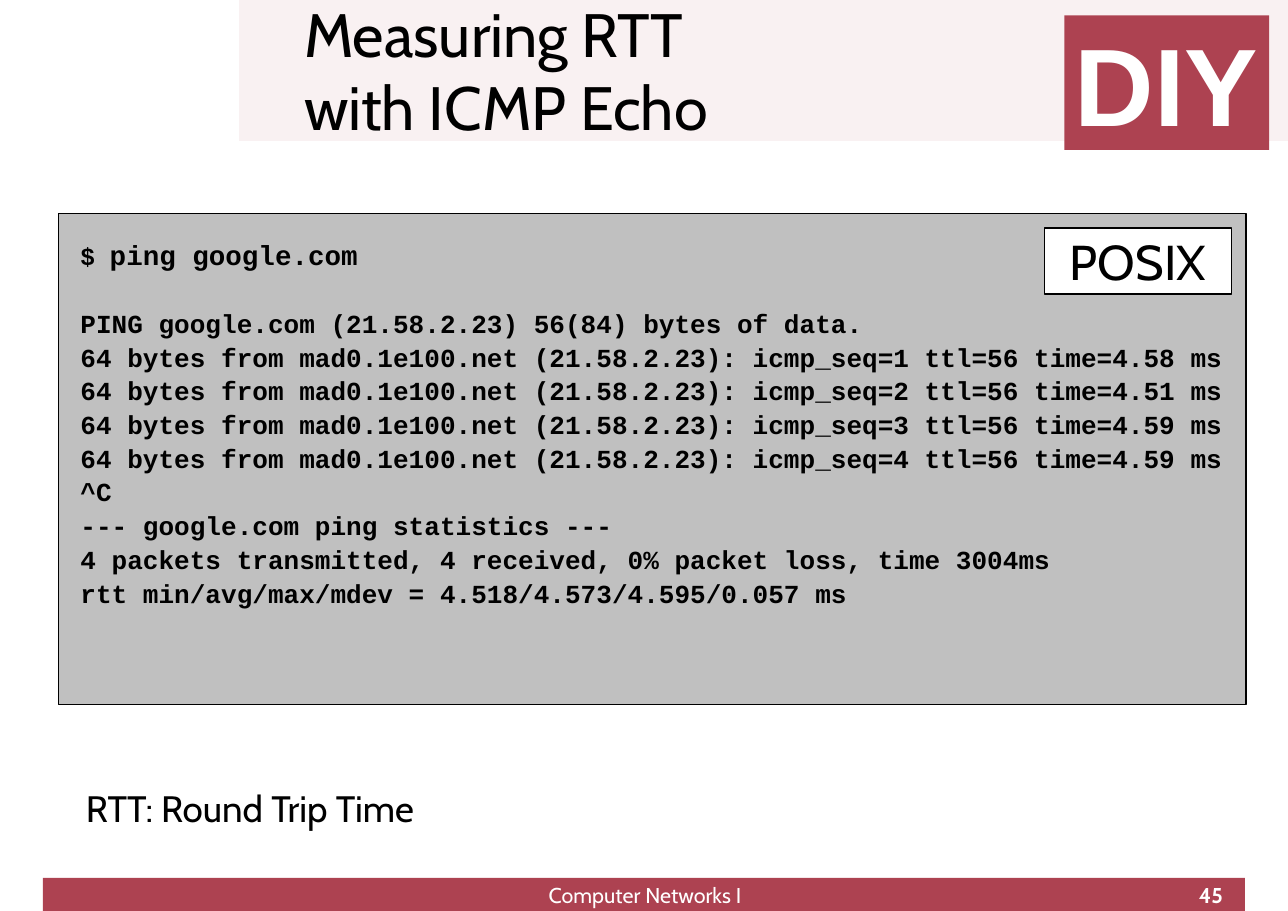
from dataclasses import dataclass

import pptx
import pptx.dml.color
import pptx.enum.shapes
import pptx.enum.text
import pptx.util

EMU_PER_PX = 9144
COLOURS = {
    "black": "000000",
    "white": "FFFFFF",
    "band": "F9F1F2",
    "red": "AD4251",
    "grey": "C0C0C0",
}
LEFT = pptx.enum.text.PP_ALIGN.LEFT
CENTER = pptx.enum.text.PP_ALIGN.CENTER
RIGHT = pptx.enum.text.PP_ALIGN.RIGHT
TOP = pptx.enum.text.MSO_ANCHOR.TOP
MIDDLE = pptx.enum.text.MSO_ANCHOR.MIDDLE

PROMPT = "$ "
COMMAND = "ping google.com"
REPLY_TIMES = ["4.58", "4.51", "4.59", "4.59"]
OUTPUT_LINES = [
    "PING google.com (21.58.2.23) 56(84) bytes of data.",
    *(
        f"64 bytes from mad0.1e100.net (21.58.2.23): icmp_seq={number} ttl=56 time={time} ms"
        for number, time in enumerate(REPLY_TIMES, start=1)
    ),
    "^C",
    "--- google.com ping statistics ---",
    "4 packets transmitted, 4 received, 0% packet loss, time 3004ms",
    "rtt min/avg/max/mdev = 4.518/4.573/4.595/0.057 ms",
]


@dataclass(frozen=True)
class Box:
    left: int
    top: int
    width: int
    height: int
    fill: str | None = None
    outlined: bool = False


@dataclass(frozen=True)
class Label:
    box: Box
    text: str
    size: int
    colour: str = "black"
    font: str = "Cabin"
    bold: bool = False
    alignment: pptx.enum.text.PP_ALIGN = LEFT
    anchor: pptx.enum.text.MSO_ANCHOR = TOP


TITLE_BAND = Box(217, 0, 953, 128, "band")
FOOTER_BAR = Box(39, 797, 1091, 30, "red")
TITLE = Label(Box(276, -6, 835, 138), "Measuring RTT\vwith ICMP Echo", 40, anchor=MIDDLE)
TERMINAL = Box(53, 194, 1078, 446, "grey", True)
LABELS = [
    Label(Box(966, 14, 186, 122, "red"), "DIY", 72, "white", "Arial", True, CENTER, MIDDLE),
    Label(Box(78, 713, 435, 48), "RTT: Round Trip Time", 24),
    Label(Box(948, 207, 170, 60, "white", True), "POSIX", 32, alignment=CENTER, anchor=MIDDLE),
    Label(Box(400, 801, 371, 23), "Computer Networks I", 14, "white", alignment=CENTER),
    Label(Box(838, 801, 272, 23), "45", 14, "white", bold=True, alignment=RIGHT),
]


def px(value: int) -> pptx.util.Emu:
    return pptx.util.Emu(value * EMU_PER_PX)


def colour_of(name: str) -> pptx.dml.color.RGBColor:
    return pptx.dml.color.RGBColor.from_string(COLOURS[name])


def style_font(
    font: pptx.text.text.Font, name: str, size: int, colour: str, bold: bool
) -> None:
    font.name = name
    font.size = pptx.util.Pt(size)
    font.bold = bold
    font.color.rgb = colour_of(colour)


def prepare_frame(
    frame: pptx.text.text.TextFrame,
    margin: int,
    anchor: pptx.enum.text.MSO_ANCHOR,
    wrap: bool,
) -> None:
    frame.margin_left = frame.margin_right = px(margin)
    frame.margin_top = frame.margin_bottom = px(margin)
    frame.vertical_anchor = anchor
    frame.auto_size = pptx.enum.text.MSO_AUTO_SIZE.NONE
    frame.word_wrap = wrap


def write_label(shape: pptx.shapes.base.BaseShape, label: Label) -> None:
    frame = shape.text_frame
    prepare_frame(frame, 0, label.anchor, True)
    frame.text = label.text
    paragraph = frame.paragraphs[0]
    paragraph.alignment = label.alignment
    for run in paragraph.runs:
        style_font(run.font, label.font, label.size, label.colour, label.bold)


def add_box(slide: pptx.slide.Slide, box: Box) -> pptx.shapes.base.BaseShape:
    area = px(box.left), px(box.top), px(box.width), px(box.height)
    if box.fill is None:
        return slide.shapes.add_textbox(*area)
    shape = slide.shapes.add_shape(pptx.enum.shapes.MSO_SHAPE.RECTANGLE, *area)
    shape.shadow.inherit = False
    shape.fill.solid()
    shape.fill.fore_color.rgb = colour_of(box.fill)
    if box.outlined:
        shape.line.color.rgb = colour_of("black")
        shape.line.width = pptx.util.Pt(0)
    else:
        shape.line.fill.background()
    return shape


def place_title(slide: pptx.slide.Slide) -> None:
    title = slide.shapes.title
    title.left, title.top = px(TITLE.box.left), px(TITLE.box.top)
    title.width, title.height = px(TITLE.box.width), px(TITLE.box.height)
    write_label(title, TITLE)
    for box in (TITLE_BAND, FOOTER_BAR):
        title.element.addprevious(add_box(slide, box).element)


def add_terminal(slide: pptx.slide.Slide) -> None:
    frame = add_box(slide, TERMINAL).text_frame
    prepare_frame(frame, 20, TOP, False)
    for text, size in ((PROMPT, 16), (COMMAND, 18)):
        run = frame.paragraphs[0].add_run()
        run.text = text
        style_font(run.font, "Courier New", size, "black", True)
    for line in OUTPUT_LINES:
        paragraph = frame.add_paragraph()
        paragraph.text = line
        style_font(paragraph.runs[0].font, "Courier New", 17, "black", True)
    for paragraph in frame.paragraphs:
        paragraph.alignment = LEFT
        paragraph.line_spacing = 1.08
    frame.paragraphs[1].space_before = pptx.util.Pt(22)


def main() -> None:
    presentation = pptx.Presentation()
    presentation.slide_width = px(1169)
    presentation.slide_height = px(827)
    slide = presentation.slides.add_slide(presentation.slide_layouts.get_by_name("Title Only"))
    place_title(slide)
    add_terminal(slide)
    for label in LABELS:
        write_label(add_box(slide, label.box), label)
    presentation.save("out.pptx")


if __name__ == "__main__":
    main()
